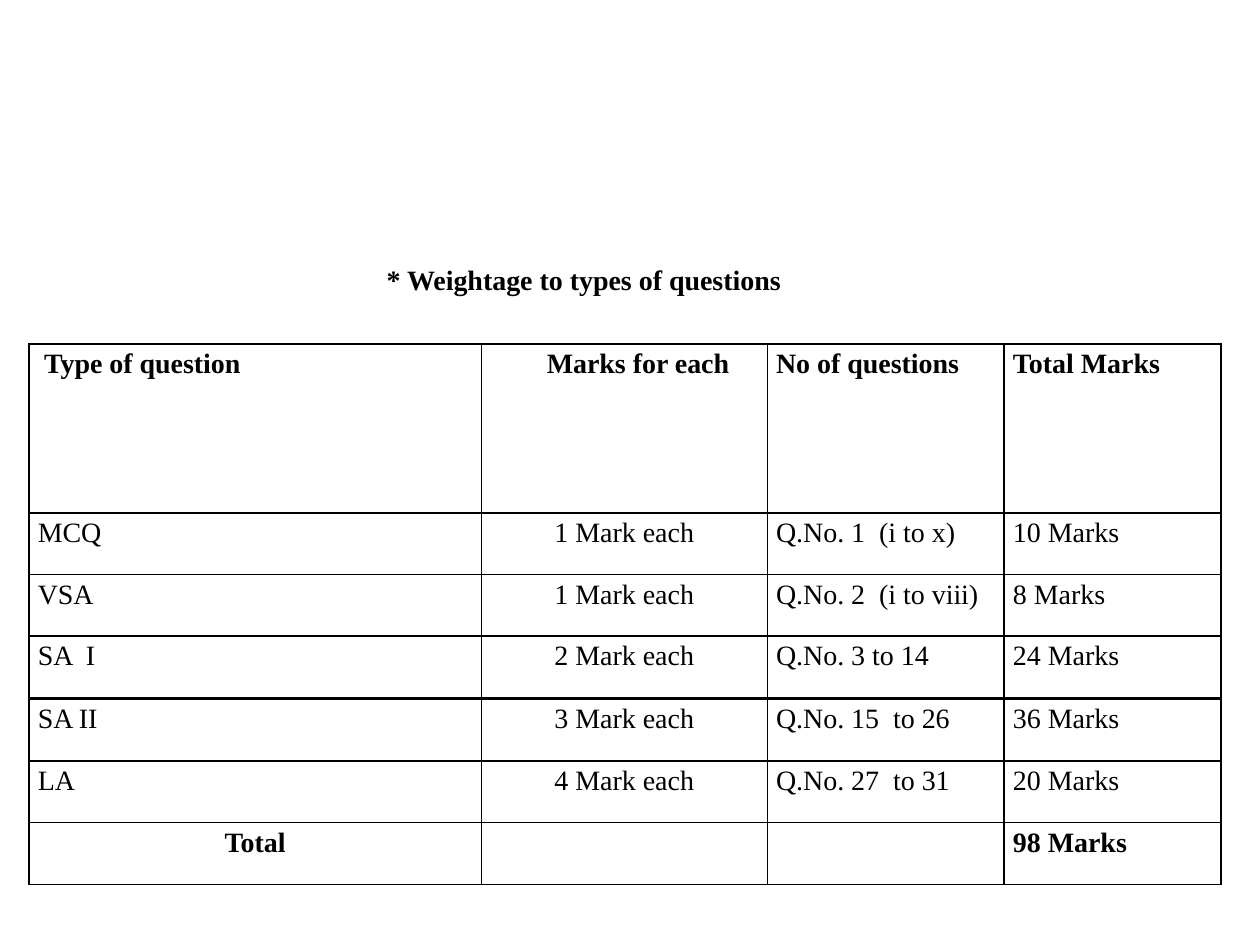
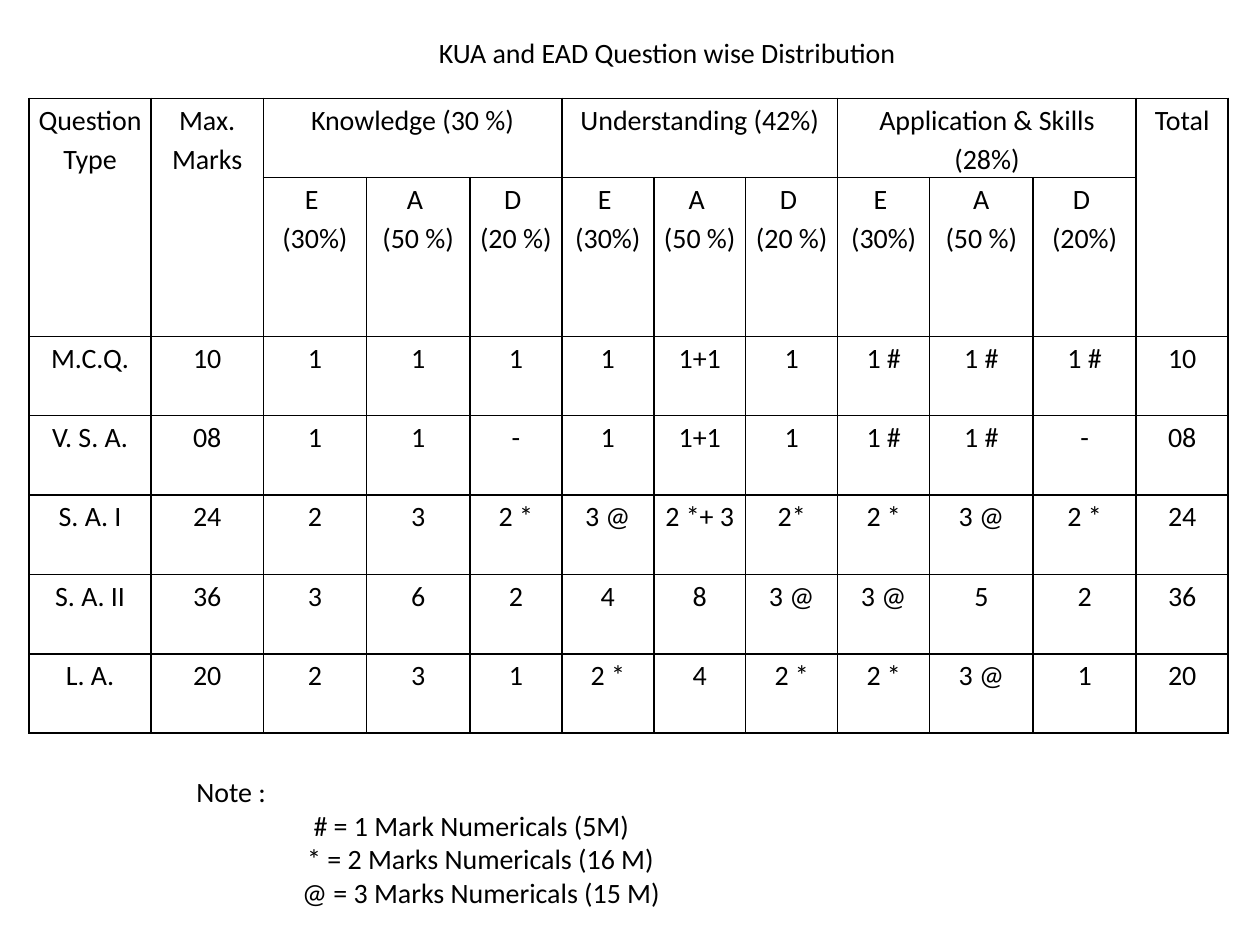
from dataclasses import dataclass

from lxml import etree
from pptx import Presentation
from pptx.dml.color import RGBColor
from pptx.enum.text import MSO_ANCHOR, MSO_AUTO_SIZE, PP_ALIGN
from pptx.oxml.ns import qn
from pptx.util import Inches, Pt


@dataclass(frozen=True)
class Theme:
    """Colours, type and spacing shared by the slides."""
    ink: str = "000000"
    paper: str = "FFFFFF"
    serif: str = "Times New Roman"
    sans: str = "Calibri"
    size: int = 16
    line_spacing: float = 1.15
    border: float = 1
    cell_inset: float = 0.07
    left: float = 0.23


class Deck:
    """Holds the theme, the presentation and the current slide."""

    def __init__(self, theme):
        """Start an empty 10 by 7.5 inch presentation."""
        self.theme = theme
        self.prs = Presentation()
        self.prs.slide_width, self.prs.slide_height = Inches(10), Inches(7.5)

    def new_slide(self, font):
        """Add a blank slide whose text is set in the given font."""
        self.font = font
        self.slide = self.prs.slides.add_slide(self.prs.slide_layouts[6])
        fill = self.slide.background.fill
        fill.solid()
        fill.fore_color.rgb = RGBColor.from_string(self.theme.paper)

    def style(self, paragraph, bold=False, align=PP_ALIGN.LEFT, indent=0):
        """Give a paragraph its alignment, left indent and type."""
        paragraph.alignment = align
        if indent:
            properties = paragraph._p.get_or_add_pPr()
            properties.set("marL", str(Inches(indent)))
            properties.set("indent", "0")
        font = paragraph.font
        for item in [font] + [run.font for run in paragraph.runs]:
            item.name, item.size, item.bold = self.font, Pt(self.theme.size), bold
            item.color.rgb = RGBColor.from_string(self.theme.ink)

    def text(self, box, lines, indents=(0,), wrap=True, **look):
        """Add a text box with one paragraph per line."""
        frame = self.slide.shapes.add_textbox(*map(Inches, box)).text_frame
        frame.word_wrap = wrap
        frame.auto_size = MSO_AUTO_SIZE.SHAPE_TO_FIT_TEXT
        frame.vertical_anchor = MSO_ANCHOR.MIDDLE
        frame.text = "\n".join(lines)
        for paragraph, indent in zip(frame.paragraphs, indents):
            self.style(paragraph, indent=indent, **look)

    def borders(self, cell):
        """Draw a thin line on all four sides of a cell."""
        properties = cell._tc.get_or_add_tcPr()
        for position, side in enumerate(("a:lnL", "a:lnR", "a:lnT", "a:lnB")):
            line = etree.Element(qn(side), w=str(Pt(self.theme.border)))
            fill = etree.SubElement(line, qn("a:solidFill"))
            etree.SubElement(fill, qn("a:srgbClr"), val=self.theme.ink)
            properties.insert(position, line)

    def table(self, top, widths, heights, rows, look, spans=()):
        """Add a ruled table; look(row, column) gives the style of a cell."""
        theme = self.theme
        frame = self.slide.shapes.add_table(
            len(rows), len(widths), Inches(theme.left), Inches(top),
            Inches(sum(widths)), Inches(sum(heights)))
        table = frame.table
        table.first_row = table.horz_banding = False
        for column, width in zip(table.columns, widths):
            column.width = Inches(width)
        for row, height in zip(table.rows, heights):
            row.height = Inches(height)
        for r, values in enumerate(rows):
            for c, value in enumerate(values):
                cell = table.cell(r, c)
                cell.margin_left = cell.margin_right = Inches(theme.cell_inset)
                cell.margin_top = cell.margin_bottom = 0
                cell.fill.background()
                self.borders(cell)
                cell.text = value
                for paragraph in cell.text_frame.paragraphs:
                    paragraph.line_spacing = theme.line_spacing
                    self.style(paragraph, **look(r, c))
        for first, last in spans:
            table.cell(*first).merge(table.cell(*last))


def build_weightage(deck):
    """Build the slide on marks for each type of question."""
    widths = [3.59, 2.27, 1.88, 1.72]
    row_height = 0.49
    header_indents = [0.05, 0.45, 0, 0]
    upper = [
        ["Type of question", "Marks for each", "No of questions", "Total Marks"],
        ["MCQ", "1 Mark each", "Q.No. 1  (i to x)", "10 Marks"],
        ["VSA", "1 Mark each", "Q.No. 2  (i to viii)", "8 Marks"],
        ["SA  I", "2 Mark each", "Q.No. 3 to 14", "24 Marks"],
    ]
    lower = [
        ["SA II", "3 Mark each", "Q.No. 15  to 26", "36 Marks"],
        ["LA", "4 Mark each", "Q.No. 27  to 31", "20 Marks"],
        ["Total", "", "", "98 Marks"],
    ]

    def body_look(column):
        """Centre the marks column only."""
        return {"align": PP_ALIGN.CENTER if column == 1 else PP_ALIGN.LEFT}

    def upper_look(row, column):
        """Set the header bold and indented."""
        if row == 0:
            return {"bold": True, "indent": header_indents[column]}
        return body_look(column)

    def lower_look(row, column):
        """Set the total row bold, with its label centred."""
        if row == 2:
            return {"bold": True,
                    "align": PP_ALIGN.CENTER if column == 0 else PP_ALIGN.LEFT}
        return body_look(column)

    deck.new_slide(deck.theme.serif)
    deck.table(2.73, widths, [1.34] + [row_height] * 3, upper, upper_look)
    deck.text((2.97, 2.03, 3.75, 0.37), ["* Weightage to types of questions"],
              bold=True)
    deck.table(5.55, widths, [row_height] * 3, lower, lower_look)


def build_distribution(deck):
    """Build the slide on the distribution of marks by objective."""
    widths = [0.97, 0.89, 0.82, 0.82] + [0.73] * 5 + [0.82, 0.82, 0.73]
    row_height = 0.63
    rows = [
        ["Question Type", "Max.\nMarks", "Knowledge (30 %)", "", "",
         "Understanding (42%)", "", "", "Application & Skills (28%)", "", "",
         "Total"],
        ["", ""] + ["E \n(30%)", "A \n(50 %)", "D \n(20 %)"] * 2
        + ["E \n(30%)", "A\n(50 %)", "D \n(20%)", ""],
    ]
    rows += [line.split("|") for line in (
        "M.C.Q.|10|1|1|1|1|1+1|1|1 #|1 #|1 #|10",
        "V. S. A.|08|1|1|-|1|1+1|1|1 #|1 #|-|08",
        "S. A. I|24|2|3|2 *|3 @|2 *+ 3|2*|2 *|3 @|2 *|24",
        "S. A. II|36|3|6|2|4|8|3 @|3 @|5|2|36",
        "L. A.|20|2|3|1|2 *|4|2 *|2 *|3 @|1|20",
    )]
    spans = [((0, c), (1, c)) for c in (0, 1, 11)]
    spans += [((0, c), (0, c + 2)) for c in (2, 5, 8)]
    centred = {"align": PP_ALIGN.CENTER}

    deck.new_slide(deck.theme.sans)
    deck.table(0.78, widths, [row_height, 2 * row_height] + [row_height] * 5,
               rows, lambda row, column: centred, spans)
    deck.text((3.36, 0.23, 3.87, 0.37),
              ["KUA and EAD Question wise Distribution"], wrap=False, **centred)
    deck.text((deck.theme.left, 6.09, 9.61, 1.18),
              ["Note :", "# = 1 Mark Numericals (5M)",
               "* = 2 Marks Numericals (16 M)", "@ = 3 Marks Numericals (15 M)"],
              indents=(1.23, 2.16, 2.11, 2.07))


deck = Deck(Theme())
build_weightage(deck)
build_distribution(deck)
deck.prs.save("out.pptx")
